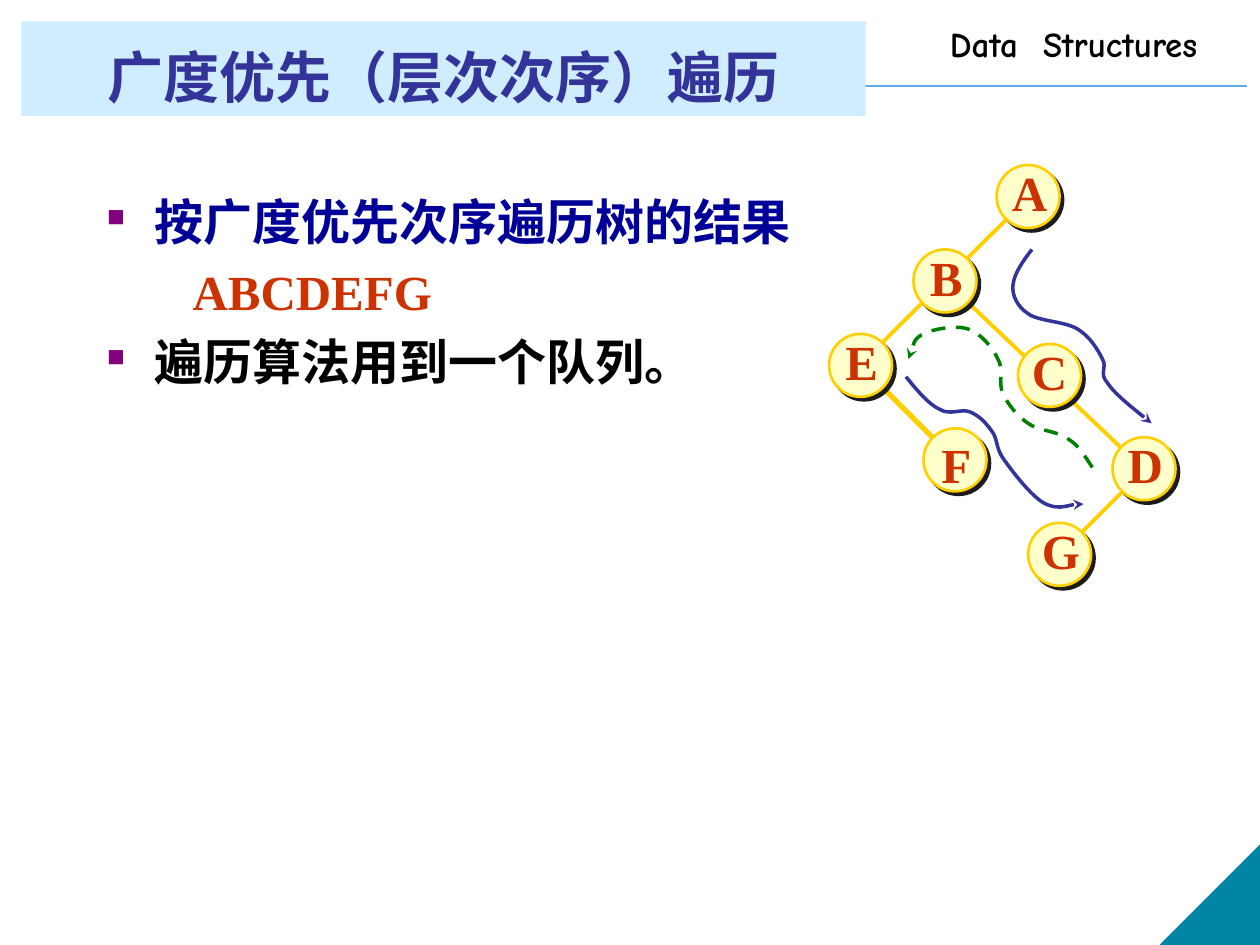
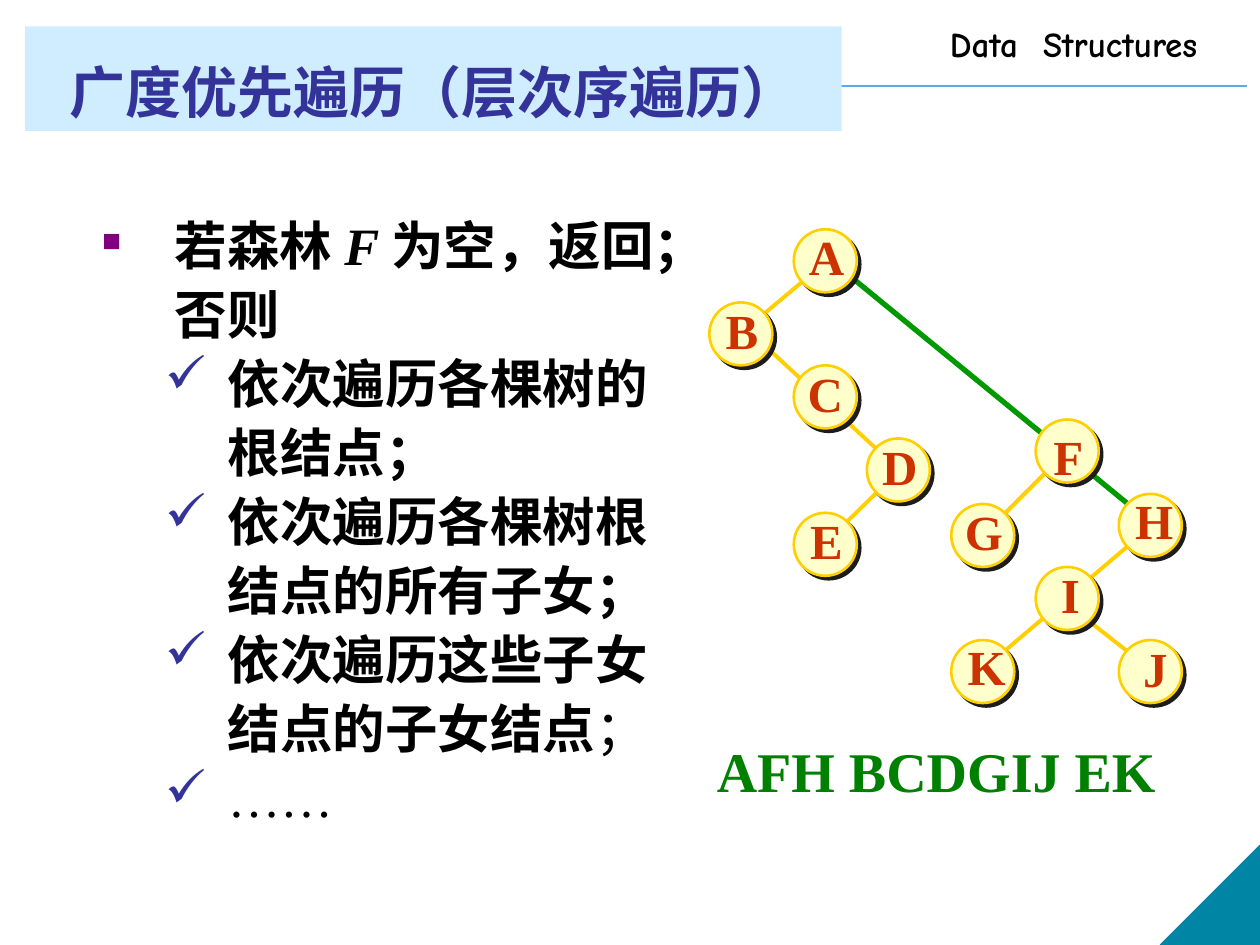
from dataclasses import dataclass
from typing import Any, Optional

from lxml import etree
from pptx import Presentation
from pptx.dml.color import RGBColor
from pptx.enum.dml import MSO_LINE
from pptx.enum.shapes import MSO_CONNECTOR, MSO_SHAPE
from pptx.enum.text import MSO_ANCHOR, MSO_AUTO_SIZE, PP_ALIGN
from pptx.oxml.ns import qn
from pptx.util import Inches, Pt

STRAIGHT = MSO_CONNECTOR.STRAIGHT
RECT, OVAL, TRIANGLE = MSO_SHAPE.RECTANGLE, MSO_SHAPE.OVAL, MSO_SHAPE.RIGHT_TRIANGLE
DASH = MSO_LINE.DASH
CENTER = PP_ALIGN.CENTER
MIDDLE, BOTTOM = MSO_ANCHOR.MIDDLE, MSO_ANCHOR.BOTTOM
FIT_SHAPE = MSO_AUTO_SIZE.SHAPE_TO_FIT_TEXT

COLORS = {
    "rule": "5AAAED", "corner": "0085A4", "band": "CFEDFE", "indigo": "333399",
    "navy": "000099", "black": "000000", "purple": "800080", "red": "CC3300",
    "gold": "FFCF01", "cream": "FFFFCC", "shadow": "1C1C1C",
    "green": "008000", "link": "009900",
}
SERIF, CJK, COMIC, SANS = "Times New Roman", "Noto Sans CJK JP", "Comic Neue", "Lato"
NODE_SIZE = 0.5
LABELS = {
    "A": (0.02, -0.07, 0.48), "B": (0.03, -0.07, 0.46), "C": (0.01, -0.07, 0.48),
    "D": (0.02, -0.07, 0.48), "E": (0.03, -0.07, 0.46), "F": (0.04, 0, 0.44),
    "G": (0.01, -0.07, 0.5), "H": (0.03, -0.08, 0.5), "I": (0.1, -0.07, 0.35),
    "J": (0.09, -0.06, 0.4), "K": (0.03, -0.08, 0.5),
}

Box = tuple[float, float, float, float]
Point = tuple[float, float]


@dataclass
class Run:
    text: str
    color: str = "black"
    bold: bool = True
    italic: bool = False


@dataclass
class Bullet:
    char: str
    color: str
    size: int = 100


@dataclass
class Para:
    runs: list[Run]
    margin: float
    hanging: float = 0
    bullet: Optional[Bullet] = None
    level: int = 0


@dataclass
class Edge:
    start: Point
    end: Point
    color: str = "gold"
    width: float = 2.25


@dataclass
class Route:
    color: str
    points: list[Point]
    dashed: bool = False


SQUARE = Bullet("■", "purple", 50)
CHECK = Bullet("✓", "indigo")


def rgb(name: str) -> RGBColor:
    return RGBColor.from_string(COLORS[name])


def add_xml(parent: Any, tag: str, **attrs: Any) -> Any:
    return etree.SubElement(parent, qn(tag), {k: str(v) for k, v in attrs.items()})


def add_run(p: Any, run: Run, size: float, font: str) -> None:
    r = p.add_run()
    r.text = run.text
    values = {"size": Pt(size), "name": font, "bold": run.bold, "italic": run.italic}
    for key, value in values.items():
        setattr(r.font, key, value)
    r.font.color.rgb = rgb(run.color)
    add_xml(r._r.get_or_add_rPr(), "a:ea", typeface=CJK)


def add_text(shapes: Any, box: Box, wrap: bool = True, **frame: Any) -> Any:
    tf = shapes.add_textbox(*map(Inches, box)).text_frame
    for key, value in {"word_wrap": wrap, **frame}.items():
        setattr(tf, key, value)
    return tf


def add_panel(shapes: Any, kind: Any, box: Box, fill: str,
              line: Optional[str] = None, width: float = 0.75) -> Any:
    sp = shapes.add_shape(kind, *map(Inches, box))
    sp.shadow.inherit = False
    sp.fill.solid()
    sp.fill.fore_color.rgb = rgb(fill)
    if line:
        sp.line.color.rgb = rgb(line)
        sp.line.width = Pt(width)
    else:
        sp.line.fill.background()
    return sp


def add_edge(shapes: Any, edge: Edge) -> None:
    cx = shapes.add_connector(STRAIGHT, *map(Inches, edge.start + edge.end))
    cx.line.color.rgb = rgb(edge.color)
    cx.line.width = Pt(edge.width)
    add_xml(cx._element.spPr, "a:effectLst")


def add_node(shapes: Any, letter: str, x: float, y: float) -> None:
    sp = add_panel(shapes, OVAL, (x, y, NODE_SIZE, NODE_SIZE), "cream", "gold", 1.5)
    effects = sp._element.spPr.find(qn("a:effectLst"))
    shadow = add_xml(effects, "a:outerShdw", dist=Pt(2.8), dir=45 * 60000,
                     algn="ctr", rotWithShape=0)
    add_xml(shadow, "a:srgbClr", val=COLORS["shadow"])
    dx, dy, width = LABELS[letter]
    tf = add_text(shapes, (x + dx, y + dy, width, 0.57), wrap=False,
                  vertical_anchor=MIDDLE, auto_size=FIT_SHAPE)
    p = tf.paragraphs[0]
    p.alignment = CENTER
    add_run(p, Run(letter, "red"), 28, SERIF)


def add_route(shapes: Any, route: Route) -> None:
    points = [(Inches(x), Inches(y)) for x, y in route.points]
    builder = shapes.build_freeform(*points[0])
    builder.add_line_segments(points[1:], close=False)
    sp = builder.convert_to_shape()
    sp.shadow.inherit = False
    sp.fill.background()
    sp.line.color.rgb = rgb(route.color)
    sp.line.width = Pt(2)
    if route.dashed:
        sp.line.dash_style = DASH
    add_xml(sp.line._get_or_add_ln(), "a:tailEnd", type="stealth")
    segments = list(sp._element.iter(qn("a:lnTo")))
    outline = segments[0].getparent()
    for i in range(0, len(segments), 3):
        curve = add_xml(outline, "a:cubicBezTo")
        for segment in segments[i:i + 3]:
            curve.append(segment[0])
            outline.remove(segment)


def add_tree(shapes: Any, edges: list[Edge], nodes: dict[str, Point]) -> None:
    for edge in edges:
        add_edge(shapes, edge)
    for letter, (x, y) in nodes.items():
        add_node(shapes, letter, x, y)


def add_body(s: Any, box: Box, paras: list[Para], size: float,
             before: float, spacing: float) -> None:
    tf = add_text(s.shapes, box)
    for i, para in enumerate(paras):
        p = tf.add_paragraph() if i else tf.paragraphs[0]
        pPr = p._p.get_or_add_pPr()
        pPr.set("marL", str(Inches(para.margin)))
        pPr.set("indent", str(Inches(-para.hanging)))
        if para.bullet:
            color = add_xml(pPr, "a:buClr")
            add_xml(color, "a:srgbClr", val=COLORS[para.bullet.color])
            add_xml(pPr, "a:buSzPct", val=para.bullet.size * 1000)
            add_xml(pPr, "a:buChar", char=para.bullet.char)
        else:
            add_xml(pPr, "a:buNone")
        p.level = para.level
        p.line_spacing = spacing
        p.space_before = Pt(before if i else 0)
        for run in para.runs:
            add_run(p, run, size, SERIF)


def add_base(prs: Any, title: str, box: Box, font: str) -> Any:
    s = prs.slides.add_slide(prs.slide_layouts[6])
    add_edge(s.shapes, Edge((0.2, 0.68), (9.9, 0.68), "rule", 1))
    corner = add_panel(s.shapes, TRIANGLE, (9.21, 6.71, 0.79, 0.79), "corner", "corner")
    corner._element.spPr.find(qn("a:xfrm")).set("flipH", "1")
    p = add_text(s.shapes, (7.44, 0.13, 2.6, 0.43), auto_size=FIT_SHAPE).paragraphs[0]
    tabs = add_xml(p._p.get_or_add_pPr(), "a:tabLst")
    add_xml(tabs, "a:tab", pos=Inches(0.74), algn="l")
    add_run(p, Run("Data\tStructures"), 20, COMIC)
    tf = add_panel(s.shapes, RECT, box, "band").text_frame
    tf.word_wrap = True
    tf.vertical_anchor = BOTTOM
    p = tf.paragraphs[0]
    p.alignment = CENTER
    add_run(p, Run(title, "indigo"), 32, font)
    return s


def build_tree_slide(prs: Any) -> None:
    s = add_base(prs, "广度优先（层次次序）遍历", (0.17, 0.17, 6.7, 0.75), CJK)
    add_body(s, (0.75, 1.47, 8.35, 5.24), [
        Para([Run("按广度优先次序遍历树的结果", "navy")], 0.38, 0.38, SQUARE),
        Para([Run("ABCDEFG", "red")], 0.68),
        Para([Run("遍历算法用到一个队列。")], 0.38, 0.38, SQUARE),
    ], 28, 6.4, 1.0)
    shapes = s.shapes.add_group_shape().shapes
    add_tree(shapes, [
        Edge((9, 3.81), (8.5, 4.31)),
        Edge((6.91, 2.98), (7.41, 3.48), width=3),
        Edge((8.08, 1.65), (6.91, 2.81)),
        Edge((7.66, 2.38), (9, 3.65)),
    ], {
        "A": (7.91, 1.31), "B": (7.25, 1.98), "C": (8.08, 2.73), "D": (8.83, 3.47),
        "E": (6.58, 2.65), "F": (7.33, 3.4), "G": (8.16, 4.15),
    })
    routes = [
        Route("indigo", [
            (8.19, 1.98), (8.12, 2.07), (8.05, 2.17), (8.04, 2.26),
            (8.03, 2.34), (8.07, 2.43), (8.16, 2.49),
            (8.24, 2.55), (8.45, 2.55), (8.55, 2.61),
            (8.65, 2.67), (8.71, 2.77), (8.75, 2.85),
            (8.79, 2.92), (8.72, 2.96), (8.79, 3.04),
            (8.85, 3.13), (9.08, 3.31), (9.14, 3.36)]),
        Route("green", [
            (8.67, 3.71), (8.61, 3.62), (8.56, 3.53), (8.47, 3.48),
            (8.39, 3.42), (8.24, 3.42), (8.16, 3.36),
            (8.07, 3.3), (8, 3.21), (7.96, 3.12),
            (7.92, 3.04), (7.97, 2.93), (7.92, 2.85),
            (7.88, 2.76), (7.78, 2.64), (7.68, 2.61),
            (7.59, 2.58), (7.41, 2.61), (7.33, 2.65),
            (7.25, 2.69), (7.23, 2.81), (7.21, 2.85)], dashed=True),
        Route("indigo", [
            (7.19, 2.99), (7.28, 3.1), (7.37, 3.21), (7.46, 3.25),
            (7.54, 3.3), (7.63, 3.24), (7.7, 3.27),
            (7.77, 3.3), (7.82, 3.35), (7.87, 3.42),
            (7.92, 3.48), (7.9, 3.56), (7.97, 3.65),
            (8.04, 3.75), (8.18, 3.93), (8.28, 3.99),
            (8.39, 4.05), (8.55, 3.99), (8.6, 4)]),
    ]
    for route in routes:
        add_route(shapes, route)


def build_forest_slide(prs: Any) -> None:
    s = add_base(prs, "广度优先遍历（层次序遍历）", (0.2, 0.21, 6.48, 0.83), SANS)
    tf = add_text(s.shapes, (5.59, 5.8, 3.79, 0.63), auto_size=FIT_SHAPE)
    add_run(tf.paragraphs[0], Run("AFH BCDGIJ EK", "green"), 32, SERIF)
    add_tree(s.shapes, [
        Edge((6.72, 2.17), (9.05, 4.08), "link", 3),
        Edge((7.05, 3.82), (6.63, 4.23)),
        Edge((5.97, 2.65), (7.05, 3.65)),
        Edge((6.47, 2.15), (5.97, 2.57)),
        Edge((8.63, 4.92), (9.05, 5.25)),
        Edge((9.05, 4.25), (7.97, 5.17)),
        Edge((8.38, 3.67), (7.88, 4.17)),
    ], {
        "A": (6.3, 1.82), "B": (5.63, 2.4), "C": (6.3, 2.9), "D": (6.88, 3.48),
        "E": (6.3, 4.07), "H": (8.88, 3.92), "I": (8.22, 4.5), "K": (7.55, 5.08),
        "J": (8.88, 5.08), "F": (8.22, 3.33), "G": (7.55, 4),
    })
    steps = [
        ("依次遍历各棵树的", [Run("根结点；")]),
        ("依次遍历各棵树根", [Run("结点的所有子女；")]),
        ("依次遍历这些子女", [Run("结点的子女结点"), Run("；", bold=False)]),
        ("……", []),
    ]
    paras = [
        Para([Run("若森林 "), Run("F ", italic=True), Run("为空，返回；")],
             0.58, 0.58, SQUARE),
        Para([Run("否则")], 0.58),
    ]
    for first, rest in steps:
        bold = bool(rest)
        paras.append(Para([Run(first, bold=bold)], 1, 0.5, CHECK, level=1))
        if rest:
            paras.append(Para(rest, 1, level=1))
    add_body(s, (0.71, 1.7, 5.38, 5.04), paras, 30, 7, 0.9)


def main() -> None:
    prs = Presentation()
    prs.slide_width, prs.slide_height = Inches(10), Inches(7.5)
    build_tree_slide(prs)
    build_forest_slide(prs)
    prs.save("out.pptx")


if __name__ == "__main__":
    main()
